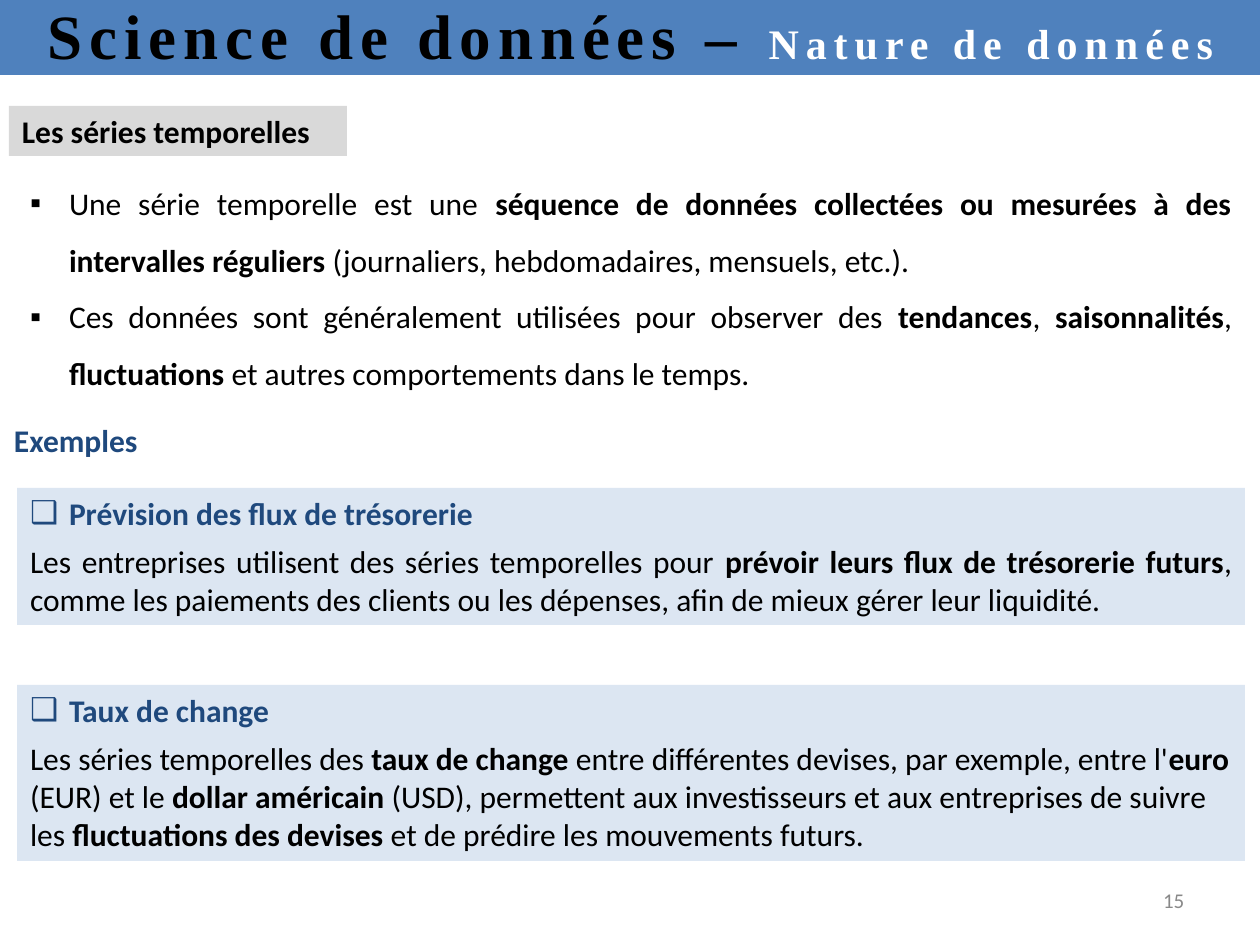
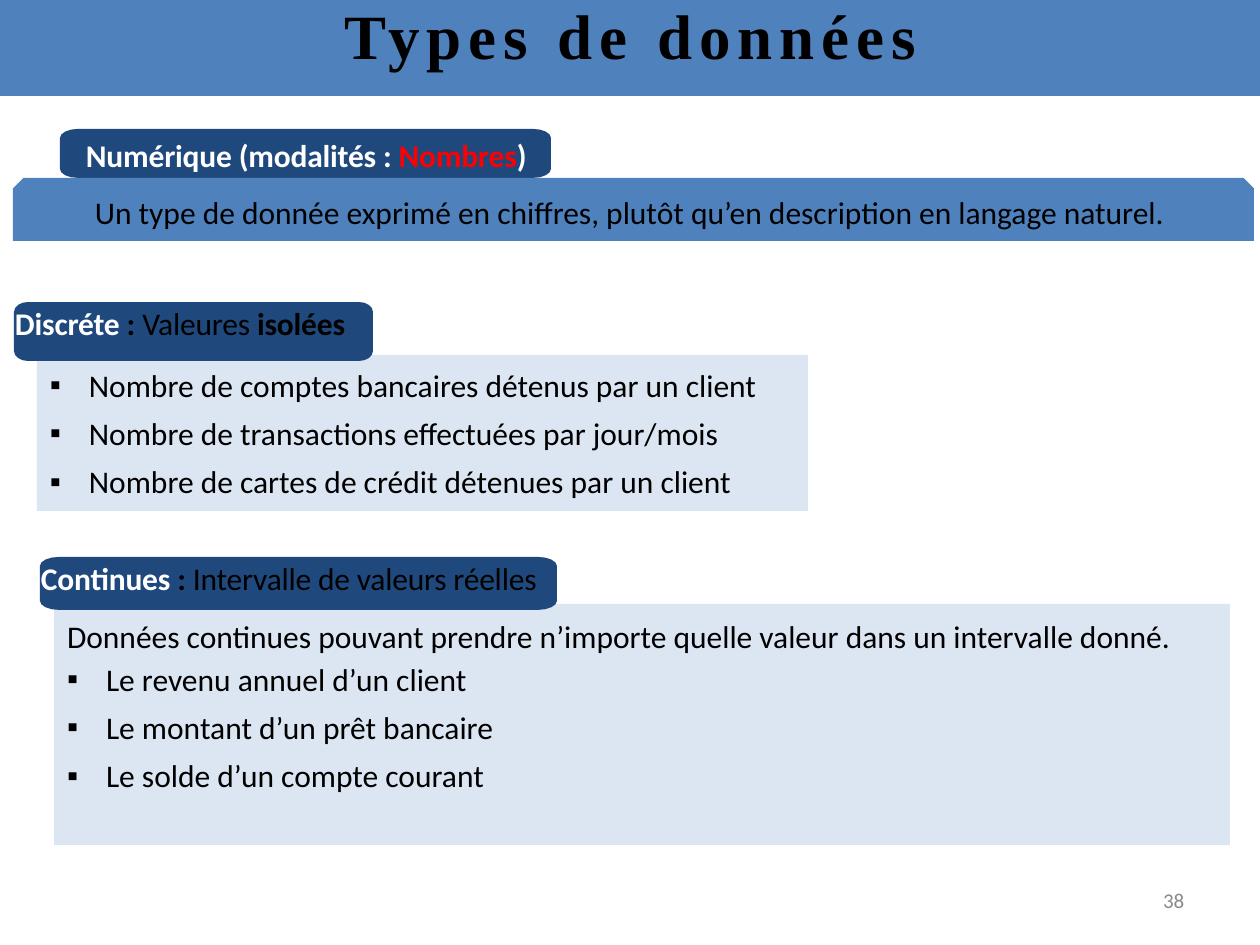
"""Build two course slides on time series and numeric data types."""
import math
from lxml import etree
from pptx import Presentation
from pptx.dml.color import RGBColor
from pptx.enum import shapes, text
from pptx.oxml.ns import qn
from pptx.util import Pt

SCALE = 914400 / 126
WIDTH, HEIGHT = 1260, 945
HANG = 39
PAD = (13, 6, 13, 6)
TAB_PAD = (1, 2, 0, 0)

THEME = {
    "fills": {"band": "4F81BD", "tab": "1F497D", "panel": "DCE6F2", "label": "D9D9D9"},
    "runs": {
        "title": ("Times New Roman", 36, True, "000000", 4),
        "subtitle": ("Times New Roman", 24, True, "FFFFFF", 4),
        "body": ("Calibri", 18, False, "000000", 0),
        "bold": ("Calibri", 18, True, "000000", 0),
        "heading": ("Calibri", 18, True, "1F497D", 0),
        "tab": ("Calibri", 18, True, "FFFFFF", -0.1),
        "tab_red": ("Calibri", 18, True, "FF0000", -0.1),
        "tab_bold": ("Calibri", 18, True, "000000", -0.1),
        "tab_body": ("Calibri", 18, False, "000000", -0.1),
        "number": ("Calibri", 12, False, "898989", 0),
    },
    "paragraphs": {
        "plain": {},
        "center": {"align": "CENTER"},
        "justify": {"align": "JUSTIFY"},
        "wide_bullet": {"align": "JUSTIFY", "bullet": "▪", "line": 1.5},
        "bullet": {"bullet": "▪", "space": 3},
        "box_bullet": {"bullet": "❑", "space": 6},
        "number": {"line": Pt(12.4)},
    },
}


def line(style, *runs):
    """Pair a paragraph style with its runs."""
    return style, runs


def bullets(*items):
    """Make one plain bullet paragraph for each item."""
    return [line("bullet", (item, "body")) for item in items]


SLIDES = [
    {
        "number": "15",
        "title_height": 79,
        "title": [("Science de données – ", "title"), ("Nature de données", "subtitle")],
        "parts": [
            {"kind": "rect", "fill": "label", "box": (9, 106, 338, 50),
             "text": [line("plain", ("Les séries temporelles", "bold"))]},
            {"kind": "text", "box": (17, 159, 1228, 236), "text": [
                line("wide_bullet",
                     ("Une série temporelle est une ", "body"),
                     ("séquence de données collectées ou mesurées à des intervalles réguliers", "bold"),
                     (" (journaliers, hebdomadaires, mensuels, etc.).", "body")),
                line("wide_bullet",
                     ("Ces données sont généralement utilisées pour observer des ", "body"),
                     ("tendances", "bold"), (", ", "body"),
                     ("saisonnalités", "bold"), (", ", "body"),
                     ("fluctuations", "bold"),
                     (" et autres comportements dans le temps.", "body"))]},
            {"kind": "text", "box": (1, 415, 156, 50),
             "text": [line("plain", ("Exemples", "heading"))]},
            {"kind": "rect", "fill": "panel", "box": (17, 488, 1228, 137), "text": [
                line("box_bullet", ("Prévision des flux de trésorerie", "heading")),
                line("justify",
                     ("Les entreprises utilisent des séries temporelles pour ", "body"),
                     ("prévoir leurs flux de trésorerie futurs", "bold"),
                     (", comme les paiements des clients ou les dépenses, afin de mieux "
                      "gérer leur liquidité.", "body"))]},
            {"kind": "rect", "fill": "panel", "box": (17, 685, 1228, 176), "text": [
                line("box_bullet", ("Taux de change", "heading")),
                line("plain",
                     ("Les séries temporelles des ", "body"),
                     ("taux de change", "bold"),
                     (" entre différentes devises, par exemple, entre l'", "body"),
                     ("euro", "bold"), (" (EUR) et le ", "body"),
                     ("dollar américain", "bold"),
                     (" (USD), permettent aux investisseurs et aux entreprises de suivre les ", "body"),
                     ("fluctuations des devises", "bold"),
                     (" et de prédire les mouvements futurs.", "body"))]},
        ],
    },
    {
        "number": "38",
        "title_height": 100,
        "title": [("Types de données", "title")],
        "parts": [
            {"kind": "tab", "box": (60, 129, 491, 49), "corner": (18, 9)},
            {"kind": "text", "box": (85, 134, 455, 40), "pad": TAB_PAD, "text": [
                line("plain", ("Numérique (modalités : ", "tab"),
                     ("Nombres", "tab_red"), (")", "tab"))]},
            {"kind": "snip", "fill": "band", "box": (13, 178, 1241, 63), "middle": True, "text": [
                line("center", ("Un type de donnée exprimé en chiffres, plutôt qu’en "
                                "description en langage naturel. ", "body"))]},
            {"kind": "rect", "fill": "panel", "box": (37, 355, 771, 156), "middle": True,
             "text": bullets("Nombre de comptes bancaires détenus par un client",
                             "Nombre de transactions effectuées par jour/mois",
                             "Nombre de cartes de crédit détenues par un client")},
            {"kind": "tab", "box": (14, 302, 359, 59), "corner": (14, 10), "pad": TAB_PAD, "text": [
                line("plain", ("Discréte", "tab"), (" : ", "tab_bold"),
                     ("Valeures ", "tab_body"), ("isolées", "tab_bold"))]},
            {"kind": "rect", "fill": "panel", "box": (54, 604, 1176, 241), "middle": True,
             "pad": (13, 6, 13, 44), "text": [
                 line("plain", ("Données continues pouvant prendre n’importe quelle valeur "
                                "dans un intervalle donné.", "body")),
                 *bullets("Le revenu annuel d’un client",
                          "Le montant d’un prêt bancaire",
                          "Le solde d’un compte courant")]},
            {"kind": "tab", "box": (40, 557, 517, 53), "corner": (19, 9), "pad": TAB_PAD, "text": [
                line("plain", ("Continues", "tab"), (" : ", "tab_bold"),
                     ("Intervalle de valeurs réelles", "tab_body"))]},
        ],
    },
]

PRESETS = {"rect": shapes.MSO_SHAPE.RECTANGLE, "snip": shapes.MSO_SHAPE.SNIP_2_SAME_RECTANGLE}


def px(value):
    """Turn px into EMU."""
    return round(value * SCALE)


def tab_outline(box, corner, steps=4):
    """List the points of a rectangle with elliptical corners."""
    x, y, w, h = box
    rx, ry = corner
    centres = [(x + w - rx, y + h - ry), (x + rx, y + h - ry),
               (x + rx, y + ry), (x + w - rx, y + ry)]
    points = []
    for quarter, (cx, cy) in enumerate(centres):
        for step in range(steps + 1):
            angle = (quarter + step / steps) * math.pi / 2
            points.append((px(cx + rx * math.cos(angle)), px(cy + ry * math.sin(angle))))
    return points


def add_paragraph(p, style, runs, first):
    """Fill one paragraph with its style and runs."""
    look = THEME["paragraphs"][style]
    if "bullet" in look:
        pPr = p._p.get_or_add_pPr()
        pPr.set("marL", str(px(HANG)))
        pPr.set("indent", str(-px(HANG)))
        etree.SubElement(pPr, qn("a:buFont")).set("typeface", "Arial")
        etree.SubElement(pPr, qn("a:buChar")).set("char", look["bullet"])
    p.alignment = getattr(text.PP_ALIGN, look.get("align", "LEFT"))
    if "line" in look:
        p.line_spacing = look["line"]
    if "space" in look:
        p.space_after = Pt(look["space"])
        if not first:
            p.space_before = Pt(look["space"])
    for words, name in runs:
        font, size, bold, colour, spacing = THEME["runs"][name]
        r = p.add_run()
        r.text = words
        r.font.name, r.font.size, r.font.bold = font, Pt(size), bold
        r.font.color.rgb = RGBColor.from_string(colour)
        if spacing:
            r._r.get_or_add_rPr().set("spc", str(round(spacing * 100)))


def add_text(sp, paragraphs, pad=PAD, middle=False):
    """Write paragraphs into a shape."""
    tf = sp.text_frame
    tf.word_wrap = True
    tf.auto_size = text.MSO_AUTO_SIZE.NONE
    tf.vertical_anchor = text.MSO_ANCHOR.MIDDLE if middle else text.MSO_ANCHOR.TOP
    tf.margin_left, tf.margin_top, tf.margin_right, tf.margin_bottom = map(px, pad)
    for i, (style, runs) in enumerate(paragraphs):
        p = tf.add_paragraph() if i else tf.paragraphs[0]
        add_paragraph(p, style, runs, i == 0)


def add_part(s, part):
    """Draw one part of a slide."""
    kind, box = part["kind"], part["box"]
    if kind == "text":
        sp = s.shapes.add_textbox(*map(px, box))
    else:
        if kind == "tab":
            start, *rest = tab_outline(box, part["corner"])
            builder = s.shapes.build_freeform(*start, scale=1.0)
            builder.add_line_segments(rest, close=True)
            sp = builder.convert_to_shape()
        else:
            sp = s.shapes.add_shape(PRESETS[kind], *map(px, box))
        sp.shadow.inherit = False
        sp.fill.solid()
        sp.fill.fore_color.rgb = RGBColor.from_string(THEME["fills"][part.get("fill", "tab")])
        sp.line.fill.background()
    if "text" in part:
        add_text(sp, part["text"], part.get("pad", PAD), part.get("middle", False))


def main():
    """Build and save the deck."""
    prs = Presentation()
    prs.slide_width, prs.slide_height = px(WIDTH), px(HEIGHT)
    for content in SLIDES:
        s = prs.slides.add_slide(prs.slide_layouts[6])
        title = {"kind": "rect", "fill": "band", "box": (0, -4, WIDTH, content["title_height"]),
                 "pad": (1, 1, 0, 0), "text": [line("center", *content["title"])]}
        number = {"kind": "text", "box": (1158, 891, 32, 24), "pad": (5, 0, 0, 0),
                  "text": [line("number", (content["number"], "number"))]}
        for part in [title, *content["parts"], number]:
            add_part(s, part)
    prs.save("out.pptx")


if __name__ == "__main__":
    main()
